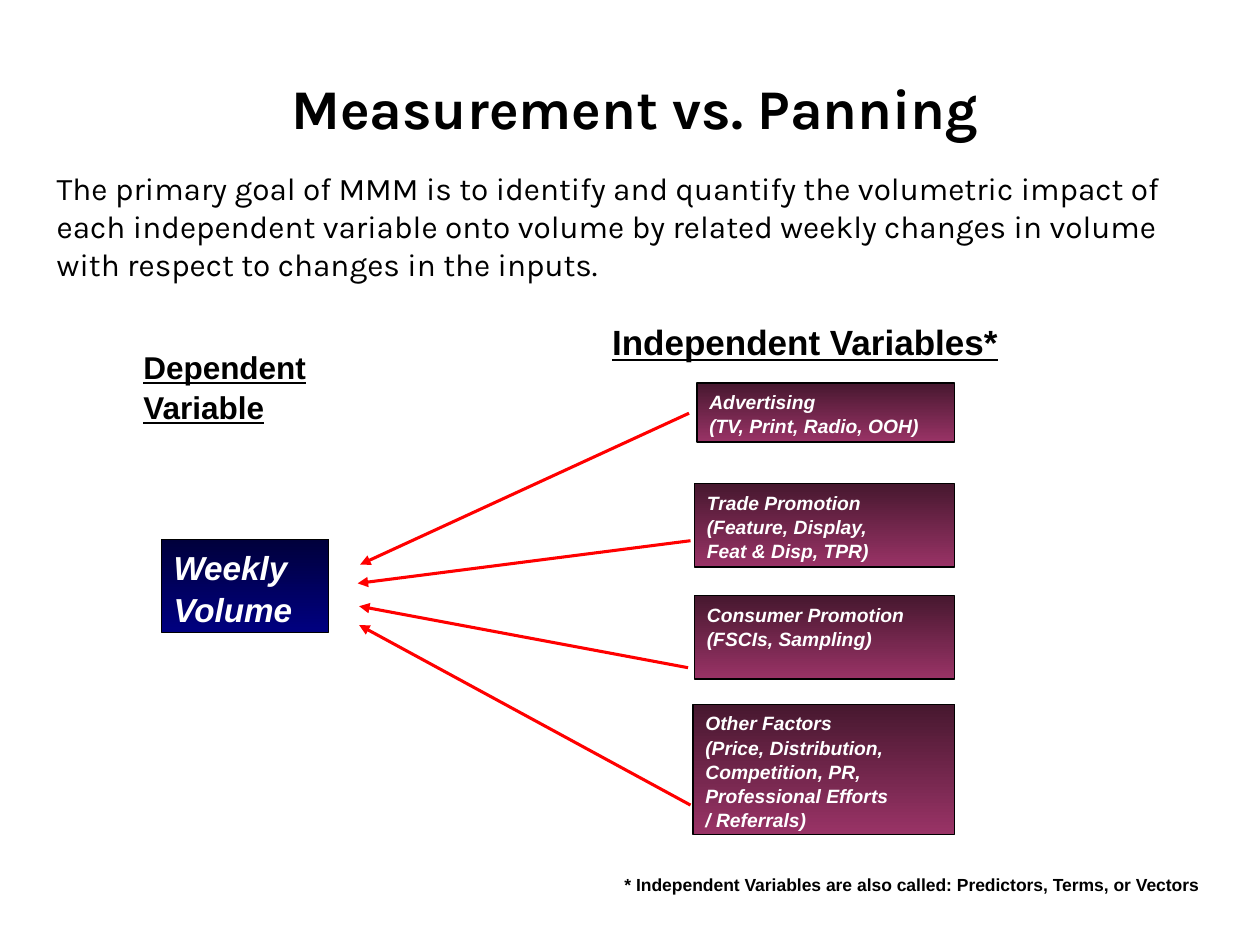
from dataclasses import dataclass

from lxml.etree import SubElement
from pptx import Presentation
from pptx.dml.color import RGBColor as Rgb
from pptx.enum.shapes import MSO_CONNECTOR as Connector, MSO_SHAPE as Shape
from pptx.enum.text import MSO_ANCHOR as Anchor, MSO_AUTO_SIZE as AutoSize, PP_ALIGN as Align
from pptx.oxml.ns import qn
from pptx.util import Cm, Pt


@dataclass(frozen=True)
class Theme:
    """Colours, fonts and type sizes of the slide."""
    ink: Rgb = Rgb(0, 0, 0)
    paper: Rgb = Rgb(255, 255, 255)
    arrow: Rgb = Rgb(255, 0, 0)
    navy: tuple = (Rgb(0, 0, 0x3B), Rgb(0, 0, 0x80))
    plum: tuple = (Rgb(0x47, 0x18, 0x2F), Rgb(0x99, 0x33, 0x66))
    heading_font: str = "Karla"
    label_font: str = "Arial"
    title: int = 32
    intro: int = 18
    independent: int = 20
    dependent: int = 18
    outcome: int = 19
    factor: int = 11
    footnote: int = 10


class SlideBuilder:
    """Draws styled elements on one slide."""

    def __init__(self, slide, theme):
        self.slide = slide
        self.theme = theme

    def set_text(self, holder, lines, size, align=Align.LEFT, spacing=1.05, wrap=True, **font):
        """Fill a shape with one formatted, unbulleted paragraph per line."""
        frame = holder.text_frame
        frame.text = "\n".join(lines)
        frame_format = {"word_wrap": wrap, "auto_size": AutoSize.NONE, "vertical_anchor": Anchor.TOP}
        for name, value in frame_format.items():
            setattr(frame, name, value)
        font_format = {"name": self.theme.label_font, "size": Pt(size), "bold": True, **font}
        color = font_format.pop("color", self.theme.ink)
        paragraph_format = {"alignment": align, "line_spacing": spacing, "space_before": Pt(0)}
        for paragraph in frame.paragraphs:
            properties = paragraph._p.get_or_add_pPr()
            for name in ("marL", "indent"):
                properties.set(name, "0")
            SubElement(properties, qn("a:buNone"))
            for name, value in paragraph_format.items():
                setattr(paragraph, name, value)
            for name, value in font_format.items():
                setattr(paragraph.font, name, value)
            paragraph.font.color.rgb = color

    def placeholder(self, index, box, text, size, **style):
        """Move and fill a template placeholder."""
        holder = self.slide.placeholders[index]
        for name, value in zip(("left", "top", "width", "height"), box):
            setattr(holder, name, Cm(value))
        self.set_text(holder, [text], size, spacing=1.0, name=self.theme.heading_font, **style)

    def label(self, box, text, size, **style):
        """Add a text box."""
        self.set_text(self.slide.shapes.add_textbox(*map(Cm, box)), [text], size, **style)

    def panel(self, box, lines, size, colors):
        """Add a rectangle with a downward gradient."""
        panel = self.slide.shapes.add_shape(Shape.RECTANGLE, *map(Cm, box))
        panel.shadow.inherit = False
        panel.fill.gradient()
        panel.fill.gradient_angle = 270
        for stop, color in zip(panel.fill.gradient_stops, colors):
            stop.color.rgb = color
        panel.line.color.rgb = self.theme.ink
        panel.line.width = Pt(0.75)
        self.set_text(panel, lines, size, italic=True, color=self.theme.paper)

    def arrow(self, start, end):
        """Add a straight arrow."""
        arrow = self.slide.shapes.add_connector(Connector.STRAIGHT, *map(Cm, (*start, *end)))
        arrow.line.color.rgb = self.theme.arrow
        arrow.line.width = Pt(1.75)
        properties = arrow._element.spPr
        SubElement(properties.find(qn("a:ln")), qn("a:tailEnd"), type="triangle")
        SubElement(properties, qn("a:effectLst"))


def main():
    """Build and save the slide."""
    deck = Presentation()
    deck.slide_width, deck.slide_height = Cm(25.4), Cm(19.05)
    theme = Theme()
    builder = SlideBuilder(deck.slides.add_slide(deck.slide_layouts[1]), theme)

    builder.placeholder(0, (0.89, 1.35, 23.83, 1.63), "Measurement vs. Panning",
                        theme.title, align=Align.CENTER)
    builder.placeholder(
        1, (0.89, 3.28, 23.47, 2.57),
        "The primary goal of MMM is to identify and quantify the volumetric impact of each "
        "independent variable onto volume by related weekly changes in volume with respect to "
        "changes in the inputs.", theme.intro, bold=False)

    builder.panel((3.25, 10.87, 3.38, 1.88), ["Weekly", "Volume"], theme.outcome, theme.navy)

    panel_right = 19.25
    factors = [
        (14.05, 7.72, 1.19, ["Advertising", "(TV, Print, Radio, OOH)"],
         (13.89, 8.33), (7.26, 11.38)),
        (14, 9.75, 1.68, ["Trade Promotion", "(Feature, Display,", "Feat & Disp, TPR)"],
         (13.92, 10.9), (7.21, 11.76)),
        (14, 12.01, 1.68, ["Consumer Promotion", "(FSCIs, Sampling)"],
         (13.87, 13.46), (7.24, 12.22)),
        (13.97, 14.2, 2.62, ["Other Factors", "(Price, Distribution,", "Competition, PR,",
                             "Professional Efforts", "/ Referrals)"],
         (13.92, 16.23), (7.24, 12.6)),
    ]
    for left, top, height, lines, start, end in factors:
        builder.panel((left, top, panel_right - left, height), lines, theme.factor, theme.plum)
        builder.arrow(start, end)

    builder.label((2.64, 6.86, 4.62, 1.78), "Dependent Variable", theme.dependent, underline=True)
    builder.label((12.09, 6.3, 11, 1.09), "Independent Variables*", theme.independent, underline=True)
    builder.label((12.34, 17.48, 12.24, 0.69),
                  "* Independent Variables are also called: Predictors, Terms, or Vectors",
                  theme.footnote, wrap=False)
    deck.save("out.pptx")


if __name__ == "__main__":
    main()
